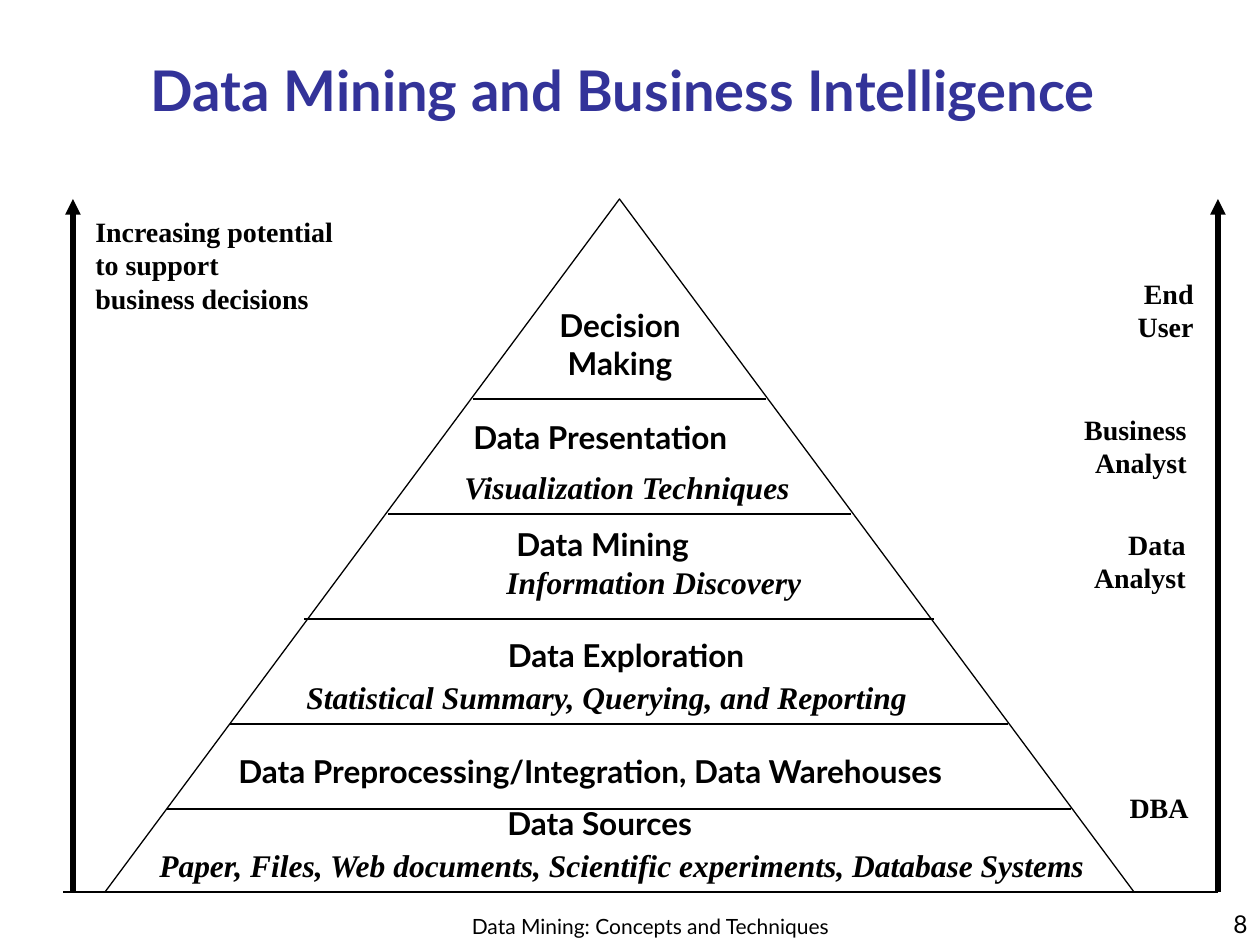
from lxml import etree
from pptx import Presentation
from pptx import util as u
from pptx.dml.color import RGBColor
from pptx.enum import shapes, text
from pptx.oxml.ns import qn

PIXEL = 914400 / 126
SANS, SERIF = "Lato", "Times New Roman"
BLACK, TITLE_BLUE = "000000", "333399"
LEFT, CENTER, RIGHT = text.PP_ALIGN.LEFT, text.PP_ALIGN.CENTER, text.PP_ALIGN.RIGHT
THIN, THICK = 0.74, 3


def px(length):
    return u.Emu(round(length * PIXEL))


def color(hex_string):
    return RGBColor.from_string(hex_string)


def add_text(slide, box, lines, size, font=SANS, align=LEFT, bold=True, italic=False,
             wrap=True, anchor=text.MSO_ANCHOR.TOP, fill=BLACK):
    shape = slide.shapes.add_textbox(*map(px, box))
    frame = shape.text_frame
    frame.word_wrap = wrap
    frame.vertical_anchor = anchor
    frame.text = lines
    for paragraph in frame.paragraphs:
        paragraph.alignment = align
        paragraph.font.name = font
        paragraph.font.size = u.Pt(size)
        paragraph.font.bold = bold
        paragraph.font.italic = italic
        paragraph.font.color.rgb = color(fill)
    return shape


def add_line(slide, start, end, width, arrow=False):
    line = slide.shapes.add_connector(shapes.MSO_CONNECTOR.STRAIGHT,
                                      *map(px, (*start, *end)))
    line.line.color.rgb = color(BLACK)
    line.line.width = u.Pt(width)
    if arrow:
        etree.SubElement(line.line._get_or_add_ln(), qn("a:tailEnd"), type="triangle")
    etree.SubElement(line._element.spPr, qn("a:effectLst"))


def add_title(slide, box):
    title = add_text(slide, box, "Data Mining and Business Intelligence", 32, align=CENTER,
                     anchor=text.MSO_ANCHOR.MIDDLE, fill=TITLE_BLUE)
    title.text_frame.margin_right = px(27)


def add_footer(slide, box):
    left, top, width, height = box
    bottom = text.MSO_ANCHOR.BOTTOM
    add_text(slide, (left + 451, top + 10, 399, height - 10),
             "Data Mining: Concepts and Techniques", 12, align=CENTER, bold=False, anchor=bottom)
    add_text(slide, (left + width - 262, top, 262, height), "8", 14,
             align=RIGHT, bold=False, anchor=bottom)


def add_pyramid(slide, box):
    left, top, width, height = box
    outline = slide.shapes.add_shape(shapes.MSO_SHAPE.FLOWCHART_EXTRACT, *map(px, box))
    outline.shadow.inherit = False
    outline.fill.background()
    outline.line.color.rgb = color(BLACK)
    outline.line.width = u.Pt(THIN)

    # Level dividers: depth below the apex and half length
    middle = left + width / 2
    for depth, half in ((200, 147), (315, 231), (420, 315), (525, 389), (610, 452)):
        add_line(slide, (middle - half, top + depth), (middle + half, top + depth), THIN)

    # Level names: offset, size, wording, alignment
    names = (
        (431, 101, 168, 88, "Decision Making", CENTER),
        (356, 213, 313, 50, "Data Presentation", LEFT),
        (399, 320, 246, 50, "Data Mining", LEFT),
        (359, 431, 324, 50, "Data Exploration", CENTER),
        (121, 547, 819, 50, "Data Preprocessing/Integration, Data Warehouses", LEFT),
        (390, 599, 231, 50, "Data Sources", LEFT),
    )
    for x, y, w, h, wording, align in names:
        add_text(slide, (left + x, top + y, w, h), wording, 18, align=align)

    # Level details
    details = (
        (347, 263, 357, "Visualization Techniques"),
        (389, 358, 324, "Information Discovery"),
        (189, 473, 630, "Statistical Summary, Querying, and Reporting"),
        (42, 641, 982,
         "Paper, Files, Web documents, Scientific experiments, Database Systems"),
    )
    for x, y, w, wording in details:
        add_text(slide, (left + x, top + y, w, 50), wording, 18, font=SERIF, italic=True)


def add_axes(slide, box):
    left, top, width, height = box
    right, bottom = left + width, top + height
    for x in (left, right):
        add_line(slide, (x, bottom), (x, top), THICK, arrow=True)
    add_line(slide, (left - 10, bottom), (right, bottom), THIN)

    # Labels beside the arrows
    add_text(slide, (left + 10, top + 9, 263, 113),
             "Increasing potential\nto support\nbusiness decisions", 16, font=SERIF, wrap=False)
    roles = (
        (12, 71, 137, 47, "End User"),
        (19, 207, 131, 81, "Business\nAnalyst"),
        (20, 322, 117, 81, "Data\nAnalyst"),
        (17, 585, 84, 47, "DBA"),
    )
    for gap, y, w, h, wording in roles:
        add_text(slide, (right - gap - w, top + y, w, h), wording, 16,
                 font=SERIF, align=RIGHT, wrap=False)


presentation = Presentation()
presentation.slide_width, presentation.slide_height = px(1260), px(945)
slide = presentation.slides.add_slide(presentation.slide_layouts[6])
add_footer(slide, (0, 882, 1260, 63))
add_title(slide, (32, 53, 1197, 73))
add_pyramid(slide, (105, 199, 1029, 693))
add_axes(slide, (73, 199, 1145, 693))
presentation.save("out.pptx")
